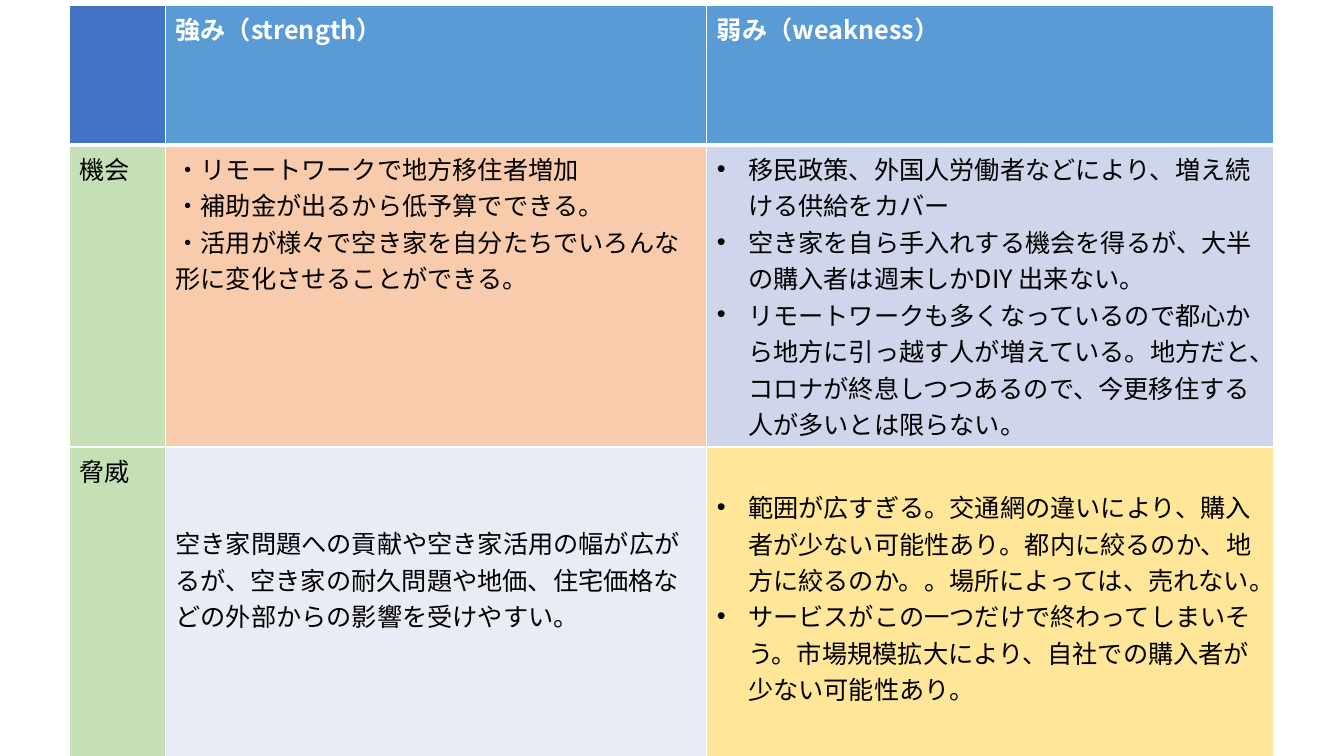
import pptx
import pptx.util
import pptx.dml.color
import pptx.oxml
import pptx.oxml.ns
from lxml import etree

Inches = pptx.util.Inches
RGBColor = pptx.dml.color.RGBColor

WHITE = RGBColor(0xFF, 0xFF, 0xFF)
BLACK = RGBColor(0x00, 0x00, 0x00)
CORNER_BLUE = RGBColor(0x44, 0x72, 0xC4)
HEADER_BLUE = RGBColor(0x5B, 0x9B, 0xD5)
GREEN = RGBColor(0xC5, 0xE0, 0xB4)
ORANGE = RGBColor(0xF8, 0xCB, 0xAD)
LAVENDER = RGBColor(0xCF, 0xD5, 0xEA)
PALE_GREY = RGBColor(0xE9, 0xEB, 0xF5)
YELLOW = RGBColor(0xFF, 0xE6, 0x99)

HEADER_FONT = {"bold": True, "color": WHITE}
BODY_FONT = {"bold": False, "color": BLACK}

# Each cell: fill, paragraphs, and optional bullets or top margin
SWOT_ROWS = [
    [
        {"fill": CORNER_BLUE, "lines": []},
        {"fill": HEADER_BLUE, "lines": ["強み（strength）"]},
        {"fill": HEADER_BLUE, "lines": ["弱み（weakness）"]},
    ],
    [
        {"fill": GREEN, "lines": ["機会"]},
        {"fill": ORANGE, "lines": [
            "・リモートワークで地方移住者増加",
            "・補助金が出るから低予算でできる。",
            "・活用が様々で空き家を自分たちでいろんな形に変化させることができる。",
        ]},
        {"fill": LAVENDER, "bullets": True, "lines": [
            "移民政策、外国人労働者などにより、増え続ける供給をカバー",
            "空き家を自ら手入れする機会を得るが、大半の購入者は週末しかDIY 出来ない。",
            "リモートワークも多くなっているので都心から地方に引っ越す人が増えている。"
            "地方だと、コロナが終息しつつあるので、今更移住する人が多いとは限らない。",
        ]},
    ],
    [
        {"fill": GREEN, "lines": ["脅威"]},
        {"fill": PALE_GREY, "top": 0.77, "lines": [
            "空き家問題への貢献や空き家活用の幅が広がるが、空き家の耐久問題や地価、"
            "住宅価格などの外部からの影響を受けやすい。",
        ]},
        {"fill": YELLOW, "bullets": True, "top": 0.41, "lines": [
            "範囲が広すぎる。交通網の違いにより、購入者が少ない可能性あり。"
            "都内に絞るのか、地方に絞るのか。。場所によっては、売れない。",
            "サービスがこの一つだけで終わってしまいそう。"
            "市場規模拡大により、自社での購入者が少ない可能性あり。",
        ]},
    ],
]


class SlideBuilder:
    """Holds the text style and the current slide."""

    def __init__(self, presentation):
        self.font_format = {"name": "Noto Sans CJK JP", "size": pptx.util.Pt(18)}
        self.slide = presentation.slides.add_slide(presentation.slide_layouts[6])

    def add_table(self, left, top, widths, heights, rows):
        shape = self.slide.shapes.add_table(
            len(heights), len(widths), Inches(left), Inches(top),
            Inches(sum(widths)), Inches(sum(heights)))
        table = shape.table
        for column, width in zip(table.columns, widths):
            column.width = Inches(width)
        for row, height in zip(table.rows, heights):
            row.height = Inches(height)
        for row_index, row_cells in enumerate(rows):
            for column_index, content in enumerate(row_cells):
                self.fill_cell(table.cell(row_index, column_index), content, row_index)

    def fill_cell(self, cell, content, row_index):
        # The rule under the header row is thicker
        self.add_border(cell, "lnL", 1)
        self.add_border(cell, "lnR", 1)
        self.add_border(cell, "lnT", 3 if row_index == 1 else 1)
        self.add_border(cell, "lnB", 3 if row_index == 0 else 1)
        cell.fill.solid()
        cell.fill.fore_color.rgb = content["fill"]
        cell.margin_top = Inches(content.get("top", 0.05))
        font_format = HEADER_FONT if row_index == 0 else BODY_FONT
        for index, line in enumerate(content["lines"]):
            frame = cell.text_frame
            paragraph = frame.add_paragraph() if index else frame.paragraphs[0]
            self.add_text(paragraph, line, font_format)
            if content.get("bullets"):
                self.add_bullet(paragraph)

    def add_text(self, paragraph, text, font_format):
        run = paragraph.add_run()
        run.text = text
        settings = {**self.font_format, **font_format}
        run.font.color.rgb = settings.pop("color")
        for name, value in settings.items():
            setattr(run.font, name, value)
        east_asian = etree.SubElement(run.font._element, pptx.oxml.ns.qn("a:ea"))
        east_asian.set("typeface", settings["name"])

    def add_bullet(self, paragraph):
        properties = paragraph._p.get_or_add_pPr()
        properties.set("marL", str(Inches(0.31)))
        properties.set("indent", str(-Inches(0.31)))
        etree.SubElement(properties, pptx.oxml.ns.qn("a:buFont")).set("typeface", "Arial")
        etree.SubElement(properties, pptx.oxml.ns.qn("a:buChar")).set("char", "•")

    def add_border(self, cell, side, points):
        border = pptx.oxml.parse_xml(
            f'<a:{side} {pptx.oxml.ns.nsdecls("a")} w="{pptx.util.Pt(points)}">'
            f'<a:solidFill><a:srgbClr val="{WHITE}"/></a:solidFill></a:{side}>')
        cell._tc.get_or_add_tcPr().append(border)


def main():
    presentation = pptx.Presentation()
    presentation.slide_width = Inches(13.33)
    presentation.slide_height = Inches(7.5)

    # SWOT cross table
    builder = SlideBuilder(presentation)
    builder.add_table(0.69, 0.05, [0.95, 5.37, 5.62], [1.39, 2.99, 3.07], SWOT_ROWS)

    presentation.save("out.pptx")


if __name__ == "__main__":
    main()
